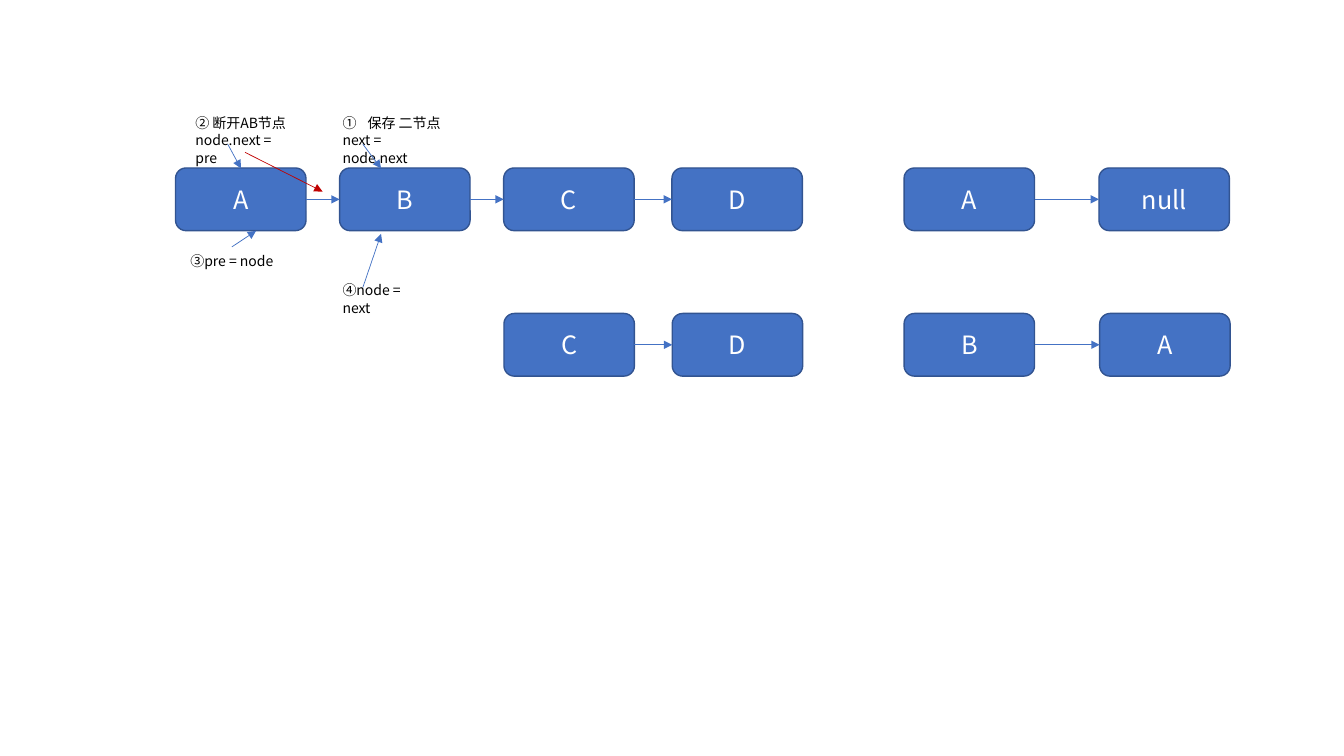
from dataclasses import dataclass

from lxml.etree import SubElement
from pptx import Presentation
from pptx.dml.color import RGBColor
from pptx.enum.shapes import MSO_CONNECTOR, MSO_SHAPE
from pptx.enum.text import MSO_ANCHOR, PP_ALIGN
from pptx.oxml.ns import qn
from pptx.util import Pt


@dataclass(frozen=True)
class Theme:
    font: str = "Noto Sans CJK SC"
    node_size: float = 18
    note_size: float = 10
    note_leading: float = 12.4
    node_fill: RGBColor = RGBColor(0x44, 0x72, 0xC4)
    node_line: RGBColor = RGBColor(0x32, 0x54, 0x91)
    node_text: RGBColor = RGBColor(255, 255, 255)
    note_text: RGBColor = RGBColor(0, 0, 0)
    cut: RGBColor = RGBColor(0xC0, 0, 0)


THEME = Theme()
NODE_WIDTH, NODE_HEIGHT = 93.2, 44.8
LEFT_SITE, RIGHT_SITE = 1, 3


def add_run(paragraph, text, size, color):
    run = paragraph.add_run()
    run.text = text
    run.font.size = Pt(size)
    run.font.name = THEME.font
    run.font.color.rgb = color
    SubElement(run.font._element, qn("a:ea"), typeface=THEME.font)


def add_arrow(slide, start=(0, 0), end=(0, 0), color=THEME.node_fill):
    arrow = slide.shapes.add_connector(
        MSO_CONNECTOR.STRAIGHT, *(Pt(value) for value in (*start, *end)))
    arrow.line.color.rgb = color
    arrow.line.width = Pt(0.5)
    SubElement(arrow.line._get_or_add_ln(), qn("a:tailEnd"), type="triangle")
    SubElement(arrow._element.spPr, qn("a:effectLst"))
    return arrow


def add_node(slide, left, top, label):
    node = slide.shapes.add_shape(MSO_SHAPE.ROUNDED_RECTANGLE, Pt(left), Pt(top),
                                  Pt(NODE_WIDTH), Pt(NODE_HEIGHT))
    node.shadow.inherit = False
    node.fill.solid()
    node.fill.fore_color.rgb = THEME.node_fill
    node.line.color.rgb = THEME.node_line
    node.line.width = Pt(1)
    node.text_frame.vertical_anchor = MSO_ANCHOR.MIDDLE
    paragraph = node.text_frame.paragraphs[0]
    paragraph.alignment = PP_ALIGN.CENTER
    add_run(paragraph, label, THEME.node_size, THEME.node_text)
    return node


def add_chain(slide, left, top, labels, gaps):
    """Place nodes from left to right and link each to the next."""
    previous = None
    for label, gap in zip(labels, (0, *gaps)):
        left += gap
        node = add_node(slide, left, top, label)
        if previous is not None:
            arrow = add_arrow(slide)
            arrow.begin_connect(previous, RIGHT_SITE)
            arrow.end_connect(node, LEFT_SITE)
        previous = node
        left += NODE_WIDTH


def add_note(slide, left, top, width, lines, numbered=False):
    height = 7.2 + THEME.note_leading * len(lines)
    note = slide.shapes.add_textbox(Pt(left), Pt(top), Pt(width), Pt(height))
    frame = note.text_frame
    frame.word_wrap = True
    for index, line in enumerate(lines):
        paragraph = frame.add_paragraph() if index else frame.paragraphs[0]
        paragraph.line_spacing = Pt(THEME.note_leading)
        add_run(paragraph, line, THEME.note_size, THEME.note_text)
    if numbered:
        properties = frame.paragraphs[0]._p.get_or_add_pPr()
        properties.set("marL", str(Pt(18)))
        properties.set("indent", str(-Pt(18)))
        SubElement(properties, qn("a:buFont"), typeface="+mj-lt")
        SubElement(properties, qn("a:buAutoNum"), type="circleNumDbPlain")


def add_steps(slide, left, top):
    """Numbered steps around nodes A and B, with their pointers."""
    notes = [
        (108.7, 0, 88, ["保存 二节点", "next = node.next"], True),
        (3.6, 0, 85, ["② 断开AB节点", "node.next = pre"], False),
        (0, 98.6, 76, ["③pre = node"], False),
        (108.7, 119.5, 76.5, ["④node = next"], False),
    ]
    for x, y, width, lines, numbered in notes:
        add_note(slide, left + x, top + y, width, lines, numbered)
    pointers = [
        ((130.3, 25.2), (143.3, 42.5), THEME.node_fill),
        ((33.8, 25.2), (43.2, 42.5), THEME.node_fill),
        ((46.1, 31), (101.5, 59), THEME.cut),
        ((36.7, 98.6), (54, 87.1), THEME.node_fill),
        ((130.3, 127.5), (143.3, 89.3), THEME.node_fill),
    ]
    for start, end, color in pointers:
        add_arrow(slide, (left + start[0], top + start[1]),
                  (left + end[0], top + end[1]), color)


presentation = Presentation()
presentation.slide_width, presentation.slide_height = Pt(960), Pt(540)
slide = presentation.slides.add_slide(presentation.slide_layouts[6])

# Remaining list on the left, reversed list on the right
first_row, second_row = 120, 223.9
add_chain(slide, 125.4, first_row, "ABCD", (24, 24, 27))
add_chain(slide, 645.8, first_row, ("A", "null"), (46,))
add_chain(slide, 360, second_row, "CD", (27,))
add_chain(slide, 645.8, second_row, "BA", (46.5,))

# Steps of the reversal
add_steps(slide, 128.9, 77.8)

presentation.save("out.pptx")
